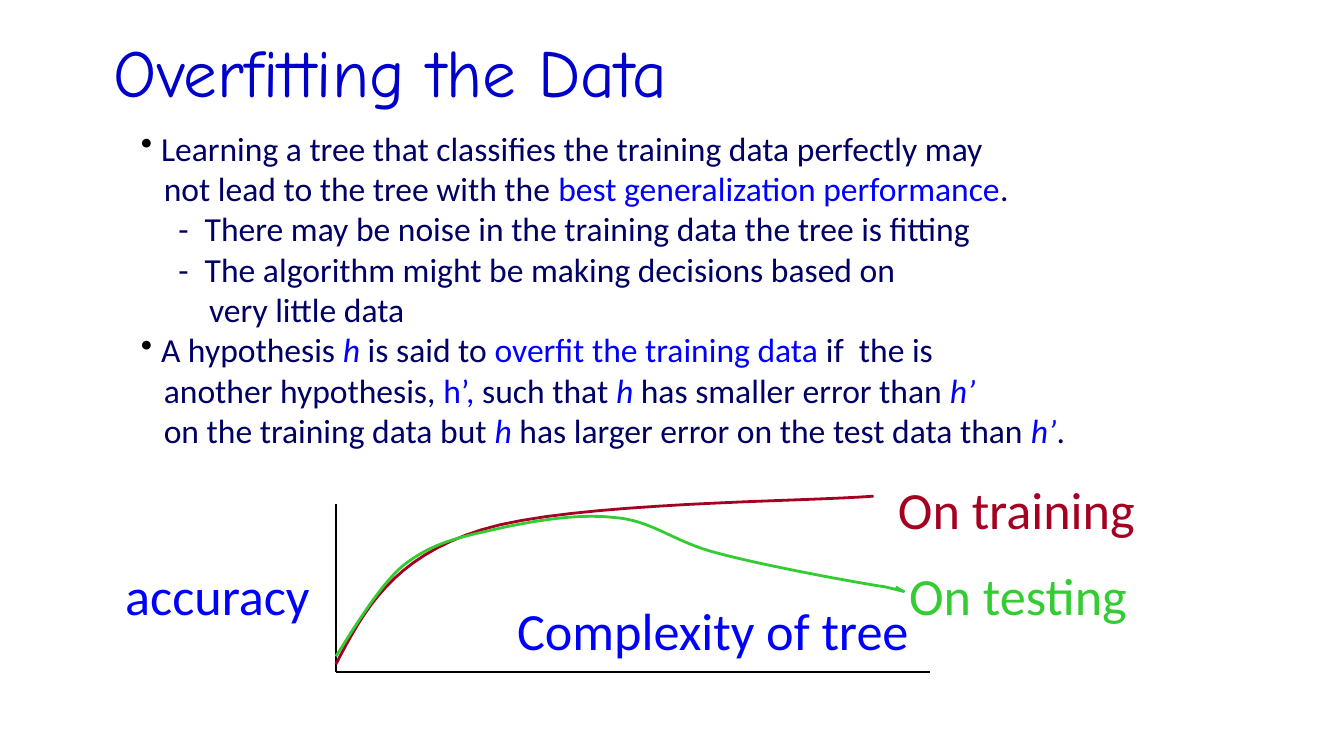
import pptx
import pptx.util
import pptx.dml.color
import pptx.enum.shapes
import pptx.enum.text
import pptx.oxml.ns
import lxml.etree

RGBColor = pptx.dml.color.RGBColor
BLACK = RGBColor(0x00, 0x00, 0x00)
NAVY = RGBColor(0x00, 0x00, 0x66)
BLUE = RGBColor(0x00, 0x00, 0xFF)
TITLE_BLUE = RGBColor(0x00, 0x00, 0xCC)
RED = RGBColor(0xA5, 0x00, 0x21)
GREEN = RGBColor(0x33, 0xCC, 0x33)

prs = pptx.Presentation()
prs.slide_width = pptx.util.Inches(10)
prs.slide_height = pptx.util.Inches(5.625)
s = prs.slides.add_slide(prs.slide_layouts[6])
CELL = prs.slide_width / 120
qn = pptx.oxml.ns.qn


def add_text(x, y, w, h, wrap):
    sp = s.shapes.add_textbox(*[round(v * CELL) for v in (x, y, w, h)])
    sp.text_frame.word_wrap = wrap
    return sp.text_frame


def add_run(p, text, size, color, font="Calibri", italic=False):
    r = p.add_run()
    r.text = text
    r.font.size = pptx.util.Pt(size)
    r.font.name = font
    r.font.italic = italic
    r.font.color.rgb = color


N, B, I = (NAVY, False), (BLUE, False), (BLUE, True)
INDENTS = {"bullet": (1.8, -1.8), "more": (2.05, 0), "dash": (5.7, -2.35), "dash more": (6.1, 0)}
lines = [
    ("bullet", [("Learning a tree that classifies the training data perfectly may", N)]),
    ("more", [("not lead to the tree with the ", N), ("best generalization performance", B), (".", N)]),
    ("dash", [("-\tThere may be noise in the training data the tree is fitting", N)]),
    ("dash", [("-\tThe algorithm might be making decisions based on", N)]),
    ("dash more", [("very little data", N)]),
    ("bullet", [("A hypothesis ", N), ("h", I), (" is said to ", N),
                ("overfit the training data", B), (" if  the is", N)]),
    ("more", [("another hypothesis, ", N), ("h’, ", B), ("such that ", N), ("h ", I),
              ("has smaller error than ", N), ("h’", I)]),
    ("more", [("on the training data but ", N), ("h", I),
              (" has larger error on the test data than ", N), ("h’", I), (".", N)]),
]
tf = add_text(11.4, 10.8, 87.4, 30.2, True)
for i, (kind, runs) in enumerate(lines):
    p = tf.paragraphs[0] if i == 0 else tf.add_paragraph()
    pPr = p._p.get_or_add_pPr()
    margin, indent = INDENTS[kind]
    pPr.set("marL", str(round(margin * CELL)))
    pPr.set("indent", str(round(indent * CELL)))
    if kind == "bullet":
        clr = lxml.etree.SubElement(pPr, qn("a:buClr"))
        lxml.etree.SubElement(clr, qn("a:srgbClr")).set("val", str(BLACK))
        lxml.etree.SubElement(pPr, qn("a:buChar")).set("char", "•")
    for text, (color, italic) in runs:
        add_run(p, text, 18, color, italic=italic)

for ends in [(30, 45, 30, 60), (30, 60, 83, 60)]:
    axis = s.shapes.add_connector(
        pptx.enum.shapes.MSO_CONNECTOR.STRAIGHT, *[round(v * CELL) for v in ends])
    axis.line.color.rgb = BLACK
    axis.line.width = pptx.util.Pt(1.5)
    lxml.etree.SubElement(axis._element.spPr, qn("a:effectLst"))

training = [(30, 59.3), (32.5, 54.5), (35, 49.8), (43, 47.3), (51, 44.8), (72.1, 44.8), (78, 44.3)]
testing = [(30, 58.6), (31, 57.1), (33.8, 52.3), (36, 50.5), (38.3, 48.7), (40.4, 48.1),
           (43.6, 47.4), (46.6, 46.7), (51.2, 45.8), (54.7, 46.2), (58.2, 46.4), (60.1, 48.4),
           (64.1, 49.4), (68.2, 50.5), (76.3, 52), (79, 52.4), (81.6, 53), (80.6, 52.9), (80, 52.4)]
STEPS = 16
for knots, color in [(training, RED), (testing, GREEN)]:
    points = []
    for k in range(0, len(knots) - 1, 3):
        for step in range(1, STEPS + 1):
            t = step / STEPS
            weights = ((1 - t) ** 3, 3 * t * (1 - t) ** 2, 3 * t * t * (1 - t), t ** 3)
            points.append(tuple(
                round(CELL * sum(w * knot[axis] for w, knot in zip(weights, knots[k:k + 4])))
                for axis in (0, 1)))
    fb = s.shapes.build_freeform(round(knots[0][0] * CELL), round(knots[0][1] * CELL))
    fb.add_line_segments(points, close=False)
    sp = fb.convert_to_shape()
    sp.shadow.inherit = False
    sp.fill.background()
    sp.line.color.rgb = color
    sp.line.width = pptx.util.Pt(1.5)

labels = [
    ("Complexity of tree", 45, 52.8, 37.7, BLUE),
    ("accuracy", 10, 49.7, 19.1, BLUE),
    ("On testing", 80, 49.7, 22.1, GREEN),
    ("On training", 79, 42, 23.8, RED),
]
for text, x, y, w, color in labels:
    tf = add_text(x, y, w, 6.85, False)
    add_run(tf.paragraphs[0], text, 28, color)

tf = add_text(9, 0.7, 108, 11.3, True)
tf.vertical_anchor = pptx.enum.text.MSO_ANCHOR.MIDDLE
add_run(tf.paragraphs[0], "Overfitting the Data", 36, TITLE_BLUE, "Comic Neue")

prs.save("out.pptx")
